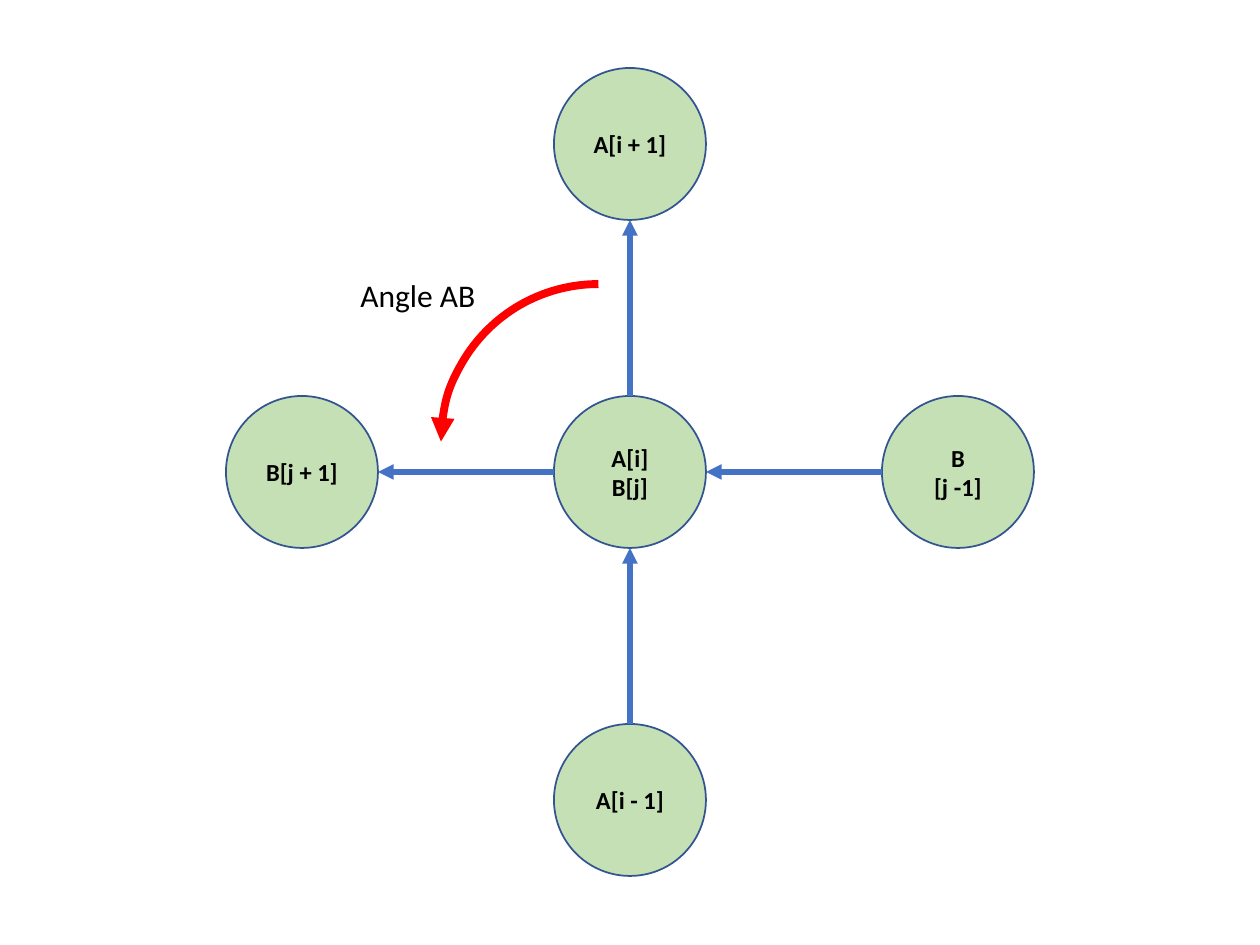
from dataclasses import dataclass

from lxml.etree import SubElement
from pptx import Presentation
from pptx.dml.color import RGBColor
from pptx.enum.shapes import MSO_CONNECTOR, MSO_SHAPE
from pptx.enum.text import MSO_ANCHOR, MSO_AUTO_SIZE, PP_ALIGN
from pptx.oxml.ns import qn
from pptx.util import Emu, Pt

PIXEL = 914400 // 126
COLORS = {
    "node": "C5E0B4",
    "outline": "325491",
    "arrow": "4472C4",
    "angle": "FF0000",
    "text": "000000",
}
FONT = "Calibri"
CENTER_X, CENTER_Y = 630, 472
STEP = 328
RADIUS = 76


@dataclass(frozen=True)
class Node:
    column: int
    row: int
    lines: tuple[str, ...]

    @property
    def x(self) -> int:
        return CENTER_X + self.column * STEP

    @property
    def y(self) -> int:
        return CENTER_Y + self.row * STEP


def px(pixels: int) -> Emu:
    return Emu(pixels * PIXEL)


def color(name: str) -> RGBColor:
    return RGBColor.from_string(COLORS[name])


def write_lines(text_frame, lines: tuple[str, ...], size: int, bold: bool, align: PP_ALIGN) -> None:
    for index, line in enumerate(lines):
        paragraph = text_frame.paragraphs[0] if index == 0 else text_frame.add_paragraph()
        paragraph.alignment = align
        run = paragraph.add_run()
        run.text = line
        run.font.name = FONT
        run.font.size = Pt(size)
        run.font.bold = bold
        run.font.color.rgb = color("text")


def style_line(shape, name: str, width: float) -> None:
    shape.line.color.rgb = color(name)
    shape.line.width = Pt(width)


def add_arrowhead(shape, end: str) -> None:
    SubElement(shape.line._get_or_add_ln(), qn(f"a:{end}"), type="triangle")


def draw_node(slide, node: Node) -> None:
    shape = slide.shapes.add_shape(
        MSO_SHAPE.OVAL, px(node.x - RADIUS), px(node.y - RADIUS), px(2 * RADIUS), px(2 * RADIUS)
    )
    shape.shadow.inherit = False
    shape.fill.solid()
    shape.fill.fore_color.rgb = color("node")
    style_line(shape, "outline", 1)
    shape.text_frame.vertical_anchor = MSO_ANCHOR.MIDDLE
    write_lines(shape.text_frame, node.lines, 14, True, PP_ALIGN.CENTER)


def draw_arrow(slide, start: Node, end: Node) -> None:
    dx = (end.column - start.column) * RADIUS
    dy = (end.row - start.row) * RADIUS
    connector = slide.shapes.add_connector(
        MSO_CONNECTOR.STRAIGHT, px(start.x + dx), px(start.y + dy), px(end.x - dx), px(end.y - dy)
    )
    style_line(connector, "arrow", 3)
    add_arrowhead(connector, "tailEnd")
    SubElement(connector._element.spPr, qn("a:effectLst"))


def draw_angle(slide) -> None:
    arc = slide.shapes.add_shape(MSO_SHAPE.ARC, px(441), px(284), px(315), px(315))
    arc.rotation = 270
    arc.shadow.inherit = False
    arc.fill.background()
    style_line(arc, "angle", 4.5)
    add_arrowhead(arc, "headEnd")

    label = slide.shapes.add_textbox(px(348), px(270), px(141), px(50))
    label.text_frame.word_wrap = False
    label.text_frame.auto_size = MSO_AUTO_SIZE.SHAPE_TO_FIT_TEXT
    write_lines(label.text_frame, ("Angle AB",), 18, False, PP_ALIGN.LEFT)


presentation = Presentation()
presentation.slide_width = px(1260)
presentation.slide_height = px(945)
slide = presentation.slides.add_slide(presentation.slide_layouts[6])

# Nodes of the two crossing paths
next_a = Node(0, -1, ("A[i + 1]",))
next_b = Node(-1, 0, ("B[j + 1]",))
previous_b = Node(1, 0, ("B", "[j -1]"))
crossing = Node(0, 0, ("A[i]", "B[j]"))
previous_a = Node(0, 1, ("A[i - 1]",))
for node in (next_a, next_b, previous_b, crossing, previous_a):
    draw_node(slide, node)

# Path directions
for start, end in (
    (crossing, next_a),
    (previous_a, crossing),
    (crossing, next_b),
    (previous_b, crossing),
):
    draw_arrow(slide, start, end)

# Angle between the outgoing paths
draw_angle(slide)

presentation.save("out.pptx")
